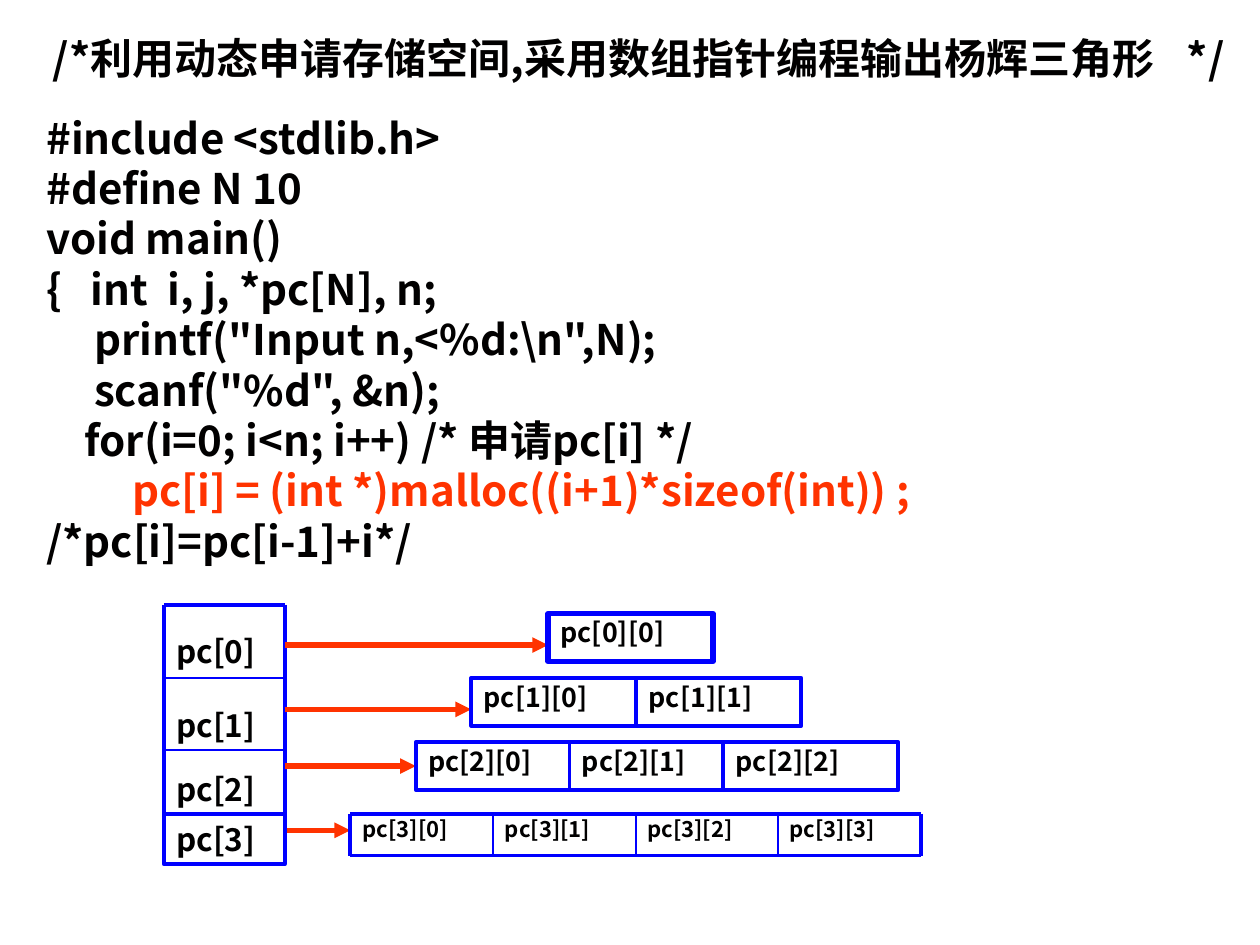
from lxml.etree import SubElement
from pptx import Presentation
from pptx.dml.color import RGBColor
from pptx.enum.shapes import MSO_CONNECTOR, MSO_SHAPE
from pptx.enum.text import MSO_ANCHOR, PP_ALIGN
from pptx.oxml.ns import qn
from pptx.util import Inches, Pt

FONT = "Noto Sans CJK SC"
INK = RGBColor(0x01, 0x00, 0x00)
BLUE = RGBColor(0x00, 0x00, 0xFF)
RED = RGBColor(0xFF, 0x33, 0x00)


def write(shape, text, size, spacing=None, wrap=True):
    """Fill the shape with bold, left-aligned text that starts at its top."""
    frame = shape.text_frame
    frame.text = text
    frame.word_wrap = wrap
    frame.vertical_anchor = MSO_ANCHOR.TOP
    for paragraph in frame.paragraphs:
        paragraph.alignment = PP_ALIGN.LEFT
        paragraph.line_spacing = spacing
        for run in paragraph.runs:
            run.font.size = Pt(size)
            run.font.bold = True
            run.font.color.rgb = INK
            run.font.name = FONT
            SubElement(run.font._element, qn("a:ea")).set("typeface", FONT)


def draw_line(x1, y1, x2, y2, color, width, arrow=False):
    line = slide.shapes.add_connector(
        MSO_CONNECTOR.STRAIGHT, Inches(x1), Inches(y1), Inches(x2), Inches(y2))
    line.line.color.rgb = color
    line.line.width = Pt(width)
    if arrow:
        SubElement(line.line._get_or_add_ln(), qn("a:tailEnd")).set("type", "triangle")
    SubElement(line._element.spPr, qn("a:effectLst"))


prs = Presentation()
prs.slide_width, prs.slide_height = Inches(10), Inches(7.5)
slide = prs.slides.add_slide(prs.slide_layouts[5])

# Heading
title = slide.shapes.title
title.left, title.top = Inches(0.32), Inches(0.21)
title.width, title.height = Inches(9.5), Inches(0.5)
write(title, "/*利用动态申请存储空间,采用数组指针编程输出杨辉三角形\t*/", 24, wrap=False)

# Program
CODE = r"""#include <stdlib.h>
#define N 10
void main()
{   int  i, j, *pc[N], n;
     printf("Input n,<%d:\n",N);
     scanf("%d", &n);
    for(i=0; i<n; i++) /* 申请pc[i] */
         pc[i] = (int *)malloc((i+1)*sizeof(int)) ;
/*pc[i]=pc[i-1]+i*/"""
program = slide.shapes.add_textbox(Inches(0.27), Inches(0.84), Inches(9.73), Inches(4.5))
write(program, CODE, 24)
for paragraph in program.text_frame.paragraphs:
    if "malloc" in paragraph.text:
        paragraph.runs[0].font.color.rgb = RED

# Pointer array: one column, with a boxed last row
LEFT, RIGHT = 1.3, 2.26
ROW_EDGES = [4.8, 5.38, 5.95, 6.46]
for i, label_top in enumerate([4.61, 5.19, 5.7]):
    label = slide.shapes.add_textbox(
        Inches(LEFT), Inches(label_top), Inches(RIGHT - LEFT), Inches(0.79))
    write(label, f"pc[{i}]", 18)
    label.text_frame.margin_top = Inches(0.41)
for y in ROW_EDGES:
    draw_line(LEFT, y, RIGHT, y, BLUE, 2.25 if y in (ROW_EDGES[0], ROW_EDGES[-1]) else 1)
for x in (LEFT, RIGHT):
    draw_line(x, ROW_EDGES[0], x, ROW_EDGES[-1], BLUE, 2.25)

# Allocated rows: left, top, cell widths, arrow height
ROWS = [
    (4.35, 4.87, [1.31], 5.12),
    (3.74, 5.38, [1.31] * 2, 5.63),
    (3.3, 5.89, [1.22, 1.22, 1.39], 6.08),
    (2.78, 6.46, [1.13] * 4, 6.59),
]
boxes = [(LEFT, ROW_EDGES[-1], RIGHT - LEFT, 0.4, "pc[3]", 18, None, 2.25)]
for i, (left, top, widths, arrow_y) in enumerate(ROWS):
    draw_line(RIGHT, arrow_y, left, arrow_y, RED, 3, arrow=True)
    for j, width in enumerate(widths):
        x = left + sum(widths[:j])
        name = f"pc[{i}][{j}]"
        if i < 3:
            boxes.append((x, top, width, 0.38, name, 15.3, 0.9, 3 if i == 0 else 2.25))
        else:
            cell = slide.shapes.add_textbox(Inches(x), Inches(top), Inches(width), Inches(0.32))
            write(cell, name, 12.6, 0.8)

for x, y, width, height, name, size, spacing, border in boxes:
    box = slide.shapes.add_shape(
        MSO_SHAPE.RECTANGLE, Inches(x), Inches(y), Inches(width), Inches(height))
    box.shadow.inherit = False
    box.fill.background()
    box.line.color.rgb = BLUE
    box.line.width = Pt(border)
    write(box, name, size, spacing)

# Rules of the last allocated row
START, END, TOP, BOTTOM = 2.78, 7.31, 6.46, 6.79
for y in (TOP, BOTTOM):
    draw_line(START, y, END, y, BLUE, 2.25)
for j in range(5):
    x = START + j * (END - START) / 4
    draw_line(x, TOP, x, BOTTOM, BLUE, 2.25 if j in (0, 4) else 1)

prs.save("out.pptx")
